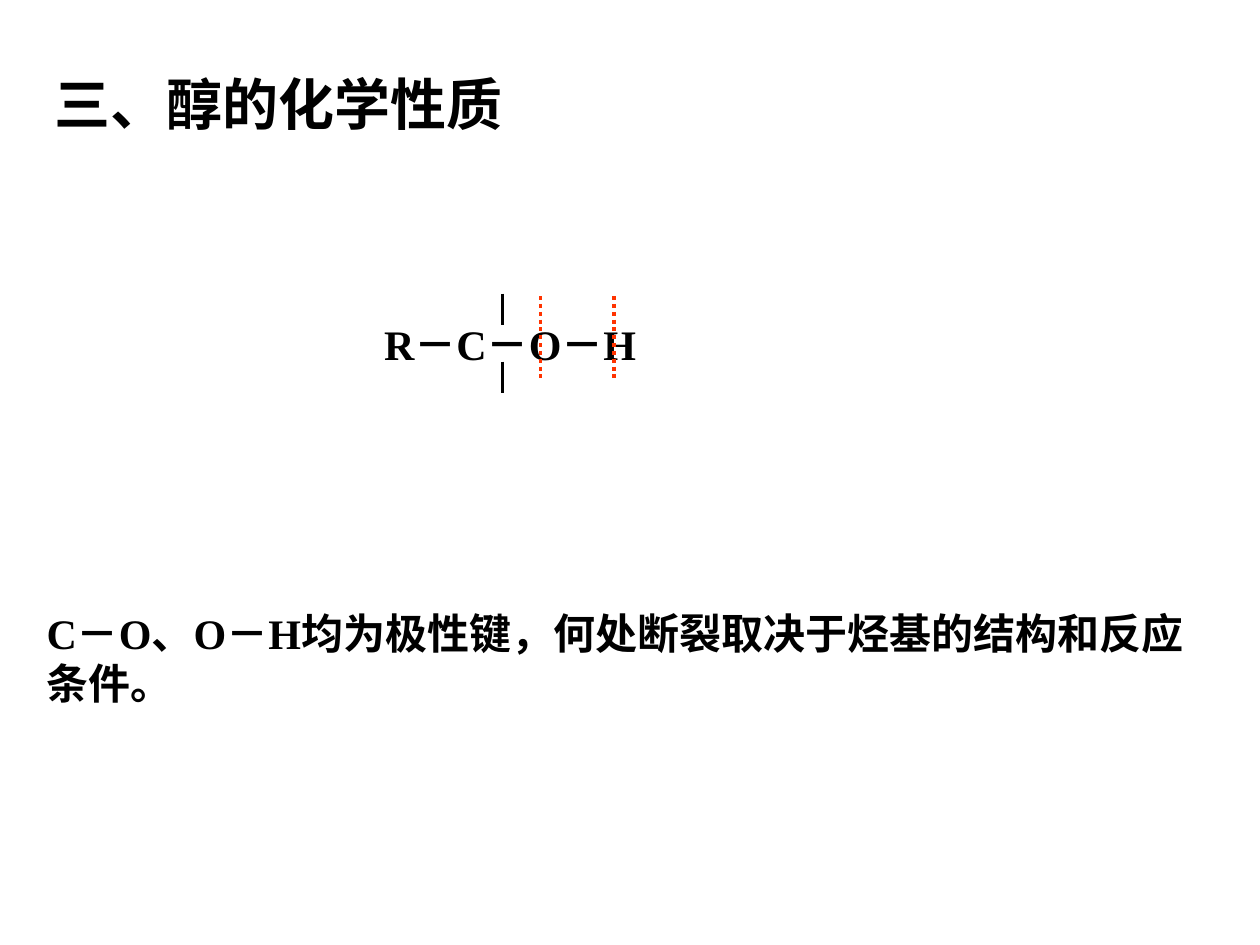
from lxml import etree
from pptx import Presentation
from pptx import util as u
from pptx.dml.color import RGBColor
from pptx.enum import dml, shapes, text
from pptx.oxml.ns import qn

FONT = "Times New Roman"
BLACK, RED = "000000", "FF3300"


def colour(value):
    return RGBColor.from_string(value)


def place(shape, box):
    shape.left, shape.top, shape.width, shape.height = map(u.Inches, box)


def write(shape, words, size, wrap=True):
    """Fill a shape with one plain, bold, left-aligned paragraph."""
    frame = shape.text_frame
    frame.text = words
    frame.word_wrap = wrap
    frame.auto_size = text.MSO_AUTO_SIZE.SHAPE_TO_FIT_TEXT
    frame.vertical_anchor = text.MSO_ANCHOR.TOP
    paragraph = frame.paragraphs[0]
    paragraph.alignment = text.PP_ALIGN.LEFT
    paragraph.space_before = u.Pt(0)
    properties = paragraph._p.get_or_add_pPr()
    properties.set("marL", "0")
    properties.set("indent", "0")
    etree.SubElement(properties, qn("a:buNone"))
    font = paragraph.runs[0].font
    font.name, font.size, font.bold = FONT, u.Pt(size), True
    font.color.rgb = colour(BLACK)


def add_upright(group, x, top, height, value, width, dash=None):
    line = group.shapes.add_connector(
        shapes.MSO_CONNECTOR.STRAIGHT,
        *map(u.Inches, (x, top, x, top + height)))
    line.line.color.rgb = colour(value)
    line.line.width = u.Pt(width)
    if dash:
        line.line.dash_style = dash
    etree.SubElement(line._element.spPr, qn("a:effectLst"))


def add_placeholder_text(placeholder, box, words, size):
    place(placeholder, box)
    write(placeholder, words, size)


def add_alcohol_formula(slide, box):
    left, top, width, height = box
    group = slide.shapes.add_group_shape()

    # Main chain
    chain = group.shapes.add_textbox(0, 0, 0, 0)
    place(chain, (left, top + 0.15, width, 0.5))
    write(chain, "R－C－O－H", 24, wrap=False)

    # Free bonds above and below the carbon
    bond = 0.25
    for bond_top in (top, top + height - bond):
        add_upright(group, left + 1.04, bond_top, bond, BLACK, 1.5)

    # Places where the C－O and O－H bonds break
    for offset in (1.34, 1.92):
        add_upright(group, left + offset, top + 0.02, 0.66, RED, 2.25,
                    dml.MSO_LINE.ROUND_DOT)


def main():
    deck = Presentation()
    deck.slide_width, deck.slide_height = u.Inches(10), u.Inches(7.5)
    slide = deck.slides.add_slide(deck.slide_layouts[1])

    # Heading
    add_placeholder_text(slide.shapes.title, (0.33, 0.5, 9.33, 0.64),
                         "三、醇的化学性质", 32)
    # Structure of an alcohol
    add_alcohol_formula(slide, (2.95, 2.33, 2.68, 0.79))
    # Conclusion
    add_placeholder_text(
        slide.placeholders[1], (0.27, 4.77, 9.27, 0.9),
        "C－O、O－H均为极性键，何处断裂取决于烃基的结构和反应条件。", 24)

    deck.save("out.pptx")


if __name__ == "__main__":
    main()
